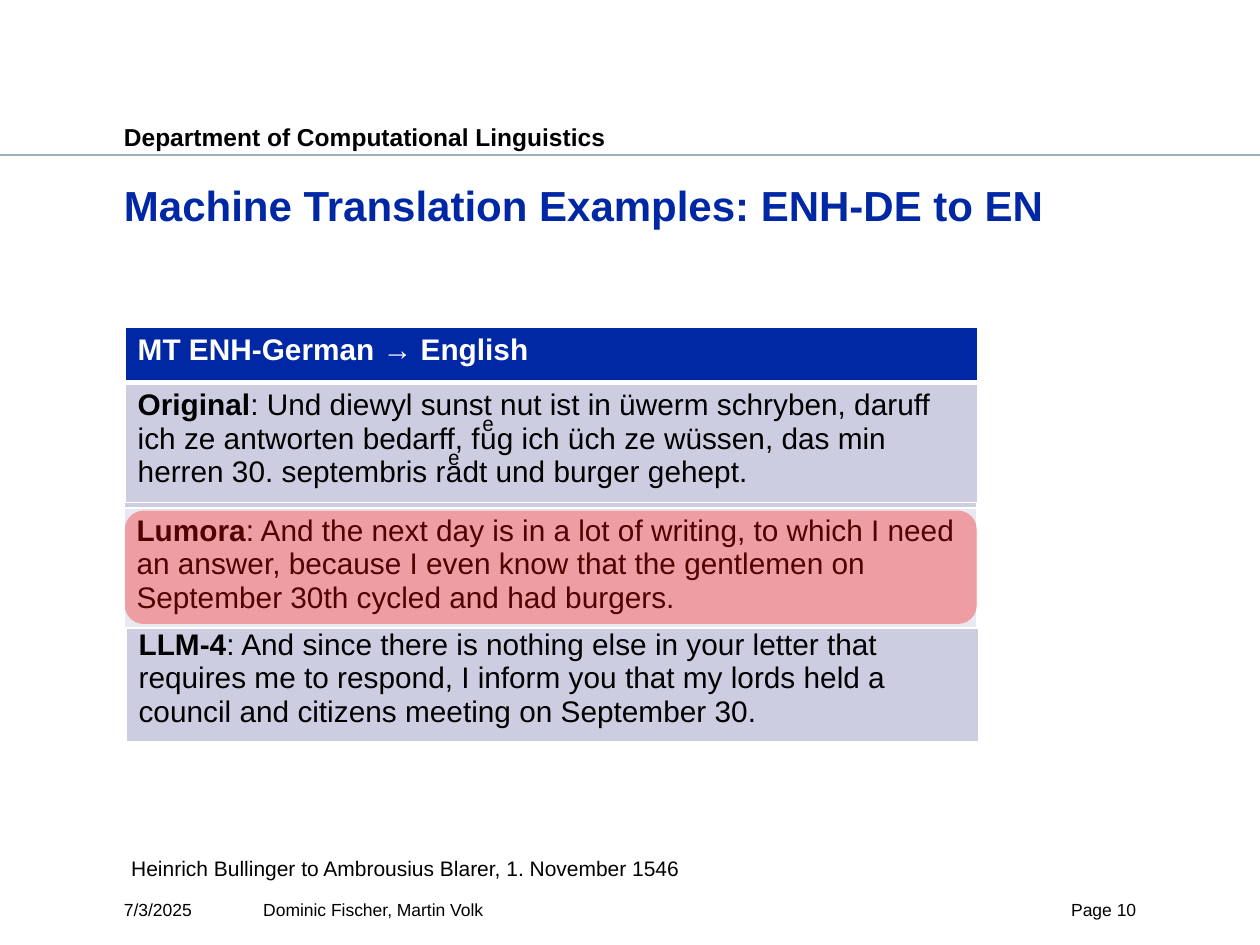
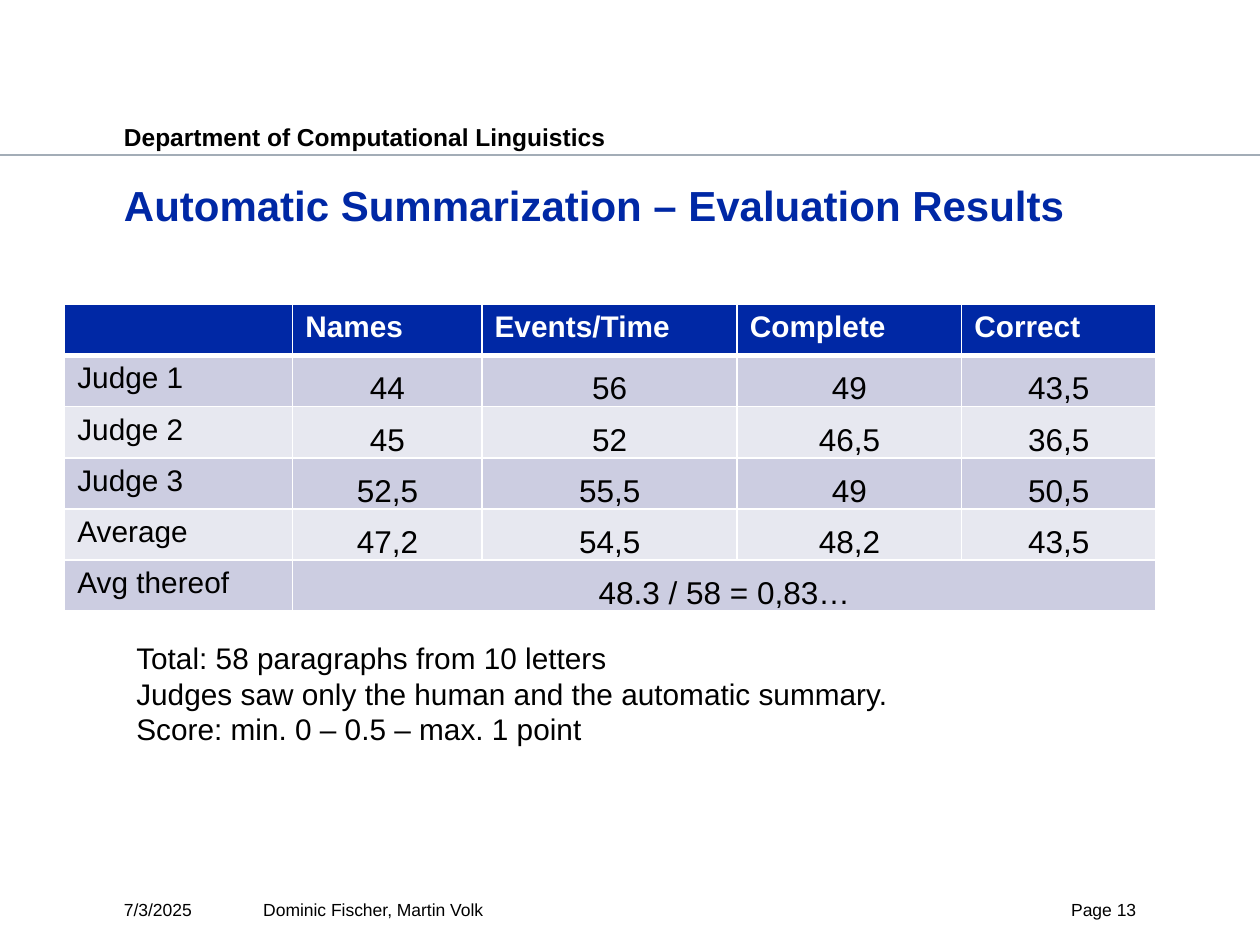
from dataclasses import dataclass

from lxml import etree
from pptx import Presentation
from pptx.dml.color import RGBColor
from pptx.enum.shapes import MSO_CONNECTOR, MSO_SHAPE
from pptx.enum.text import MSO_ANCHOR, PP_ALIGN
from pptx.oxml.ns import qn
from pptx.util import Pt

LEFT, CENTER, RIGHT = PP_ALIGN.LEFT, PP_ALIGN.CENTER, PP_ALIGN.RIGHT
TOP, BOTTOM = MSO_ANCHOR.TOP, MSO_ANCHOR.BOTTOM
STRAIGHT = MSO_CONNECTOR.STRAIGHT
ROUNDED = MSO_SHAPE.ROUNDED_RECTANGLE


@dataclass(frozen=True)
class Theme:
    font: str = "Arial"
    ink: str = "000000"
    white: str = "FFFFFF"
    blue: str = "0028A5"
    rule: str = "A3ADB7"
    band_dark: str = "CCCDE1"
    band_light: str = "E7E8F0"
    mark: str = "FF0000"
    title: int = 24
    department: int = 14
    body: int = 17
    figure: int = 18
    source: int = 12
    footer: int = 10


THEME = Theme()
PAGE_W, PAGE_H = 720, 540
MARGIN = 70.8
CELL_INSETS = (7.2, 3.6, 7.2, 3.6)
FIGURE_INSETS = (0.72, 0.72, 0.72, 0)


def rgb(color):
    return RGBColor.from_string(color)


def add_run(p, text, size, color=THEME.ink, bold=False):
    r = p.add_run()
    r.text = text
    r.font.name = THEME.font
    r.font.size = Pt(size)
    r.font.bold = bold
    r.font.color.rgb = rgb(color)


def set_insets(target, insets):
    (target.margin_left, target.margin_top,
     target.margin_right, target.margin_bottom) = map(Pt, insets)


def add_text(s, box, lines, size, color=THEME.ink, bold=False, align=LEFT,
             insets=(0, 0, 0, 0)):
    tf = s.shapes.add_textbox(*map(Pt, box)).text_frame
    tf.word_wrap = True
    set_insets(tf, insets)
    for i, line in enumerate(lines):
        p = tf.add_paragraph() if i else tf.paragraphs[0]
        p.alignment = align
        add_run(p, line, size, color, bold)


def add_rule(s, y):
    rule = s.shapes.add_connector(STRAIGHT, 0, Pt(y), Pt(PAGE_W), Pt(y))
    rule.line.color.rgb = rgb(THEME.rule)
    rule.line.width = Pt(1.25)
    etree.SubElement(rule._element.spPr, qn("a:effectLst"))


def add_highlight(s, box):
    sp = s.shapes.add_shape(ROUNDED, *map(Pt, box))
    sp.shadow.inherit = False
    sp.fill.solid()
    sp.fill.fore_color.rgb = rgb(THEME.mark)
    sp.line.fill.background()
    color = sp._element.spPr.find(".//" + qn("a:srgbClr"))
    etree.SubElement(color, qn("a:alpha"), val="32000")


def set_borders(cell, bottom):
    tc_pr = cell._tc.get_or_add_tcPr()
    edges = (("lnL", 1), ("lnR", 1), ("lnT", 1), ("lnB", bottom))
    for i, (edge, width) in enumerate(edges):
        ln = etree.Element(qn("a:" + edge), w=str(Pt(width)))
        fill = etree.SubElement(ln, qn("a:solidFill"))
        etree.SubElement(fill, qn("a:srgbClr"), val=THEME.white)
        tc_pr.insert(i, ln)


def add_banded_table(s, left, top, widths, heights):
    frame = s.shapes.add_table(len(heights), len(widths), Pt(left), Pt(top),
                               Pt(sum(widths)), Pt(sum(heights)))
    table = frame.table
    table.first_row = table.horz_banding = False
    for column, width in zip(table.columns, widths):
        column.width = Pt(width)
    for i, height in enumerate(heights):
        table.rows[i].height = Pt(height)
        band = THEME.band_dark if i % 2 else THEME.band_light
        for cell in table.rows[i].cells:
            cell.fill.solid()
            cell.fill.fore_color.rgb = rgb(band if i else THEME.blue)
            set_borders(cell, 1 if i else 3)
    return table


def fill_cell(cell, runs, size=THEME.body, color=THEME.ink, align=LEFT,
              anchor=TOP, insets=CELL_INSETS):
    set_insets(cell, insets)
    cell.vertical_anchor = anchor
    p = cell.text_frame.paragraphs[0]
    p.alignment = align
    for text, bold in runs:
        add_run(p, text, size, color, bold)


def fill_header(cell, text):
    fill_cell(cell, [(text, True)], color=THEME.white)


def fill_figure(cell, text):
    fill_cell(cell, [(text, False)], THEME.figure, align=CENTER,
              anchor=BOTTOM, insets=FIGURE_INSETS)


def add_version_table(s, left, top, heights, name, text):
    table = add_banded_table(s, left, top, [487.4], heights)
    fill_cell(table.cell(len(heights) - 1, 0), [(name, True), (text, False)])
    return table


def add_page(prs, title, number):
    s = prs.slides.add_slide(prs.slide_layouts[6])
    add_rule(s, 88.6)
    add_text(s, (MARGIN, 67, 578, 18), ["Department of Computational Linguistics"],
             THEME.department, bold=True, insets=(0, 2.9, 0, 0))
    add_text(s, (MARGIN, 99.6, 635, 39.6), [title], THEME.title, THEME.blue, True,
             insets=(0, 2.9, 0, 0))
    footers = (
        (MARGIN, 73.4, "7/3/2025", LEFT),
        (150.4, 414, "Dominic Fischer, Martin Volk", LEFT),
        (586.8, 62.4, f"Page {number}", RIGHT),
    )
    for left, width, text, align in footers:
        add_text(s, (left, 514, width, 17.3), [text], THEME.footer, align=align)
    return s


def add_translation_slide(prs):
    s = add_page(prs, "Machine Translation Examples: ENH-DE to EN", 10)
    add_text(s, (67.9, 485.3, 550, 21.6),
             ["Heinrich Bullinger to Ambrousius Blarer, 1. November 1546"],
             THEME.source, insets=CELL_INSETS)
    head, body = 31.4, 68.4
    add_version_table(
        s, 72, 187.2, [head, body, body, body], "LLM-4",
        ": And since there is nothing else in your letter that requires me to "
        "respond, I inform you that my lords held a council and citizens meeting "
        "on September 30.")
    add_version_table(
        s, 70.8, 227.5, [head, head, body], "Lumora",
        ": And the next day is in a lot of writing, to which I need an answer, "
        "because I even know that the gentlemen on September 30th cycled and had "
        "burgers.")
    source = add_version_table(
        s, 71.5, 187.2, [head, 67.7], "Original",
        ": Und diewyl sunst nut ist in üwerm schryben, daruff ich ze antworten "
        "bedarff, fuͤg ich üch ze wüssen, das min herren 30. septembris raͤdt und "
        "burger gehept.")
    fill_header(source.cell(0, 0), "MT ENH-German → English")
    add_highlight(s, (71.3, 291.8, 486.9, 64.8))


def add_evaluation_slide(prs):
    s = add_page(prs, "Automatic Summarization – Evaluation Results", 13)
    criteria = ("Names", "Events/Time", "Complete", "Correct")
    scores = (
        ("Judge 1", "44", "56", "49", "43,5"),
        ("Judge 2", "45", "52", "46,5", "36,5"),
        ("Judge 3", "52,5", "55,5", "49", "50,5"),
        ("Average", "47,2", "54,5", "48,2", "43,5"),
        ("Avg thereof", "48.3 / 58 = 0,83…"),
    )
    table = add_banded_table(s, 37, 174, [130.3, 108.2, 145.8, 128.3, 111],
                             [29.2] * (len(scores) + 1))
    for column, criterion in enumerate(criteria, 1):
        fill_header(table.cell(0, column), criterion)
    table.cell(5, 1).merge(table.cell(5, 4))
    for row, (label, *figures) in enumerate(scores, 1):
        fill_cell(table.cell(row, 0), [(label, False)])
        for column, figure in enumerate(figures, 1):
            fill_figure(table.cell(row, column), figure)
    add_text(s, (MARGIN, 362, 450, 69),
             ["Total: 58 paragraphs from 10 letters",
              "Judges saw only the human and the automatic summary.",
              "Score: min. 0 – 0.5 – max. 1 point"],
             THEME.body, insets=CELL_INSETS)


def main():
    prs = Presentation()
    prs.slide_width, prs.slide_height = Pt(PAGE_W), Pt(PAGE_H)
    add_translation_slide(prs)
    add_evaluation_slide(prs)
    prs.save("out.pptx")


if __name__ == "__main__":
    main()
